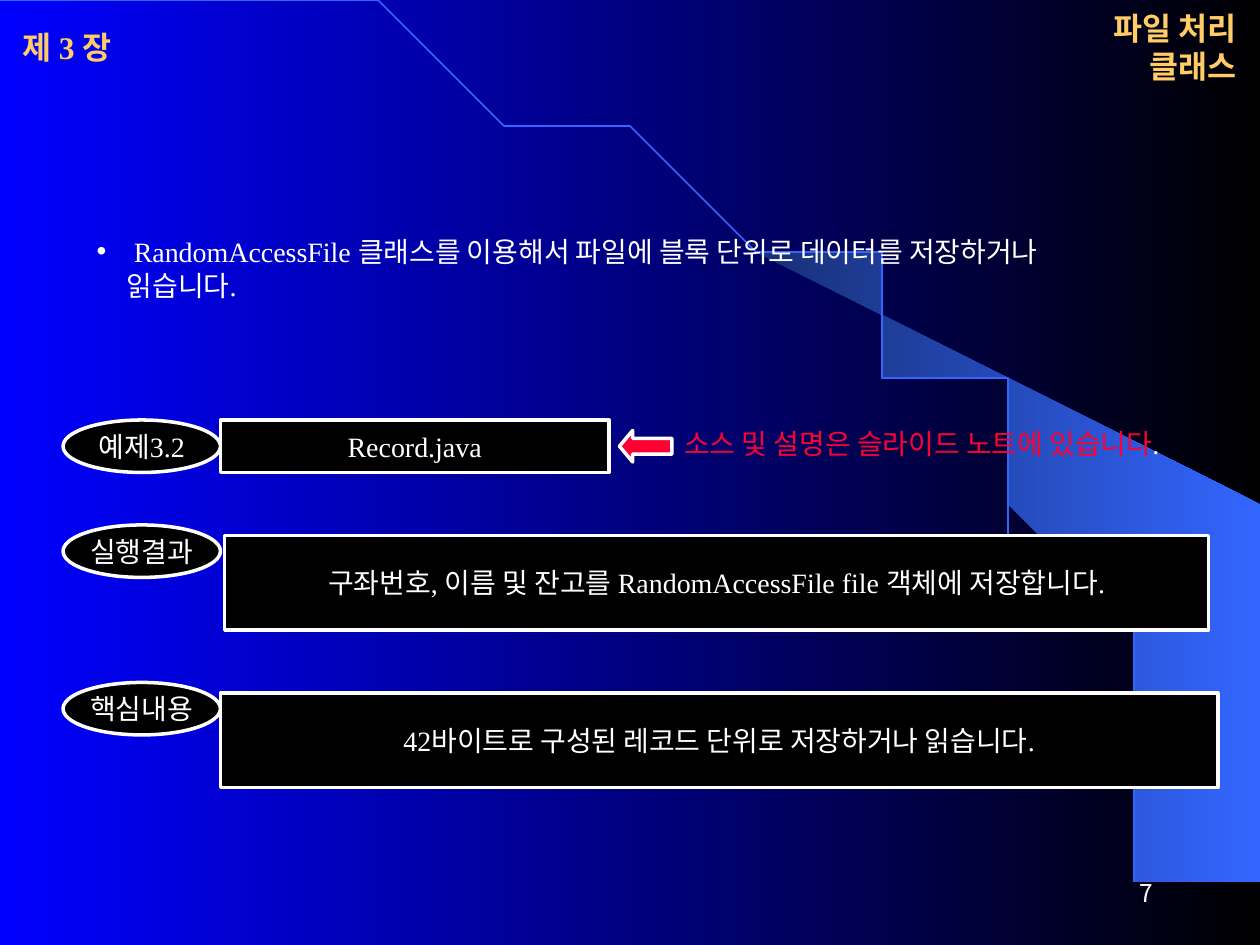
from math import cos, pi, sin

from lxml.etree import SubElement
from pptx import Presentation
from pptx.dml.color import RGBColor as RGB
from pptx.enum.shapes import MSO_SHAPE as SHAPE
from pptx.enum.text import MSO_ANCHOR as ANCHOR, MSO_AUTO_SIZE as FIT, PP_ALIGN as ALIGN
from pptx.oxml.ns import qn
from pptx.util import Inches, Pt

THEME = dict(
    white=RGB(0xFF, 0xFF, 0xFF), black=RGB(0, 0, 0), blue=RGB(0, 0, 0xFF),
    gold=RGB(0xFF, 0xCC, 0x66), red=RGB(0xFF, 0, 0x33),
    beam=RGB(0x33, 0x66, 0xFF), beam_dark=RGB(0x17, 0x2F, 0x75),
    serif="Times New Roman", korean="Noto Sans CJK KR",
    heading=18, text=16, number=14, leading=19.4,
)
T = THEME
UNIT = Inches(10) / 120  # the slide is a grid of 120 columns by 90 rows


def grid(*cells):
    return [round(c * UNIT) for c in cells]


def put_text(sp, *parts, size=T["text"], color=T["white"], bold=False, font=T["serif"],
             align=ALIGN.LEFT, anchor=ANCHOR.MIDDLE, wrap=False, leading=None):
    """Fill sp with one paragraph; a part is a string or a (string, colour) pair."""
    tf = sp.text_frame
    tf.word_wrap, tf.auto_size, tf.vertical_anchor = wrap, FIT.NONE, anchor
    p = tf.paragraphs[0]
    p.alignment, p.space_before = align, Pt(0)
    if leading:
        p.line_spacing = Pt(leading)
    for part in parts:
        text, rgb = part if isinstance(part, tuple) else (part, color)
        r = p.add_run()
        r.text = text
        r.font.size, r.font.bold, r.font.name = Pt(size), bold, font
        r.font.color.rgb = rgb
        SubElement(r.font._element, qn("a:ea"), typeface=T["korean"])
    return p


prs = Presentation()
prs.slide_width, prs.slide_height = grid(120, 90)
s = prs.slides.add_slide(prs.slide_layouts[1])
title, body = s.placeholders

# Background, light beam and arc
beam_edge = [
    (9.2, 7.48), (9.99, 7.49), (9.99, 4.23), (5.89, 1.73), (6.24, 1.99), (6.53, 2.22),
    (6.85, 2.5), (7.16, 2.8), (7.62, 3.3), (8.03, 3.84), (8.32, 4.31), (8.58, 4.79),
    (8.78, 5.28), (8.93, 5.72), (9.03, 6.09), (9.13, 6.56), (9.17, 6.96),
]
arc_edge = [(9.2 * sin(i * pi / 120), 7.49 * (1 - cos(i * pi / 120))) for i in range(61)]
beam, arc = [
    s.shapes.build_freeform(*edge[0], scale=Inches(1))
    .add_line_segments(edge[1:], close=closed).convert_to_shape()
    for edge, closed in ((beam_edge, True), (arc_edge, False))
]
for fill, colors in ((s.background.fill, ("black", "blue")),
                     (beam.fill, ("beam", "beam_dark"))):
    fill.gradient()
    fill.gradient_angle = 180
    for stop, position, name in zip(fill.gradient_stops, (0, 1), colors):
        stop.position, stop.color.rgb = position, T[name]
beam.line.fill.background()
arc.fill.background()
arc.line.color.rgb, arc.line.width = T["beam"], Pt(1)
beam.shadow.inherit = arc.shadow.inherit = False

# Headings and the list, brought in front of the artwork
for ph, cells in ((title, (101, 2, 18, 5)), (body, (8, 21.7, 102, 7.7))):
    ph._element.getparent().append(ph._element)
    ph.left, ph.top, ph.width, ph.height = grid(*cells)
heading = dict(size=T["heading"], color=T["gold"], bold=True)
put_text(title, "파일 처리 클래스", align=ALIGN.RIGHT, **heading)
put_text(s.shapes.add_textbox(*grid(1, 2, 17, 5)), "제 3 장", **heading)
p = put_text(body, " RandomAccessFile 클래스를 이용해서 파일에 블록 단위로 데이터를 저장하거나 읽습니다.",
             anchor=ANCHOR.TOP, wrap=True, leading=T["leading"])
indent = Inches(0.24)
p._p.get_or_add_pPr().set("marL", str(indent))
p._p.get_or_add_pPr().set("indent", str(-indent))

# Labelled boxes and the arrow
shapes = [
    (SHAPE.OVAL, (6, 40, 15, 5), "black", "예제3.2"),
    (SHAPE.RECTANGLE, (21, 40, 37, 5), "black", "Record.java"),
    (SHAPE.LEFT_ARROW, (59, 41, 5, 3), "red", ""),
    (SHAPE.OVAL, (6, 50, 15, 5), "black", "실행결과"),
    (SHAPE.RECTANGLE, (21.4, 51, 93.7, 9), "black",
     "구좌번호, 이름 및 잔고를 RandomAccessFile file 객체에 저장합니다."),
    (SHAPE.OVAL, (6, 65, 15, 5), "black", "핵심내용"),
    (SHAPE.RECTANGLE, (21, 66, 95, 9), "black",
     "42바이트로 구성된 레코드 단위로 저장하거나 읽습니다."),
]
for kind, cells, color, text in shapes:
    sp = s.shapes.add_shape(kind, *grid(*cells))
    sp.shadow.inherit = False
    sp.fill.solid()
    sp.fill.fore_color.rgb = T[color]
    sp.line.color.rgb, sp.line.width = T["white"], Pt(2)
    if text:
        put_text(sp, text, align=ALIGN.CENTER)
    else:
        sp.adjustments[0], sp.adjustments[1] = 0.5, 0.42

# Note beside the arrow, and the page number
put_text(s.shapes.add_textbox(*grid(64, 40, 53, 4.4)),
         ("소스 및 설명은 슬라이드 노트에 있습니다", T["red"]), ".",
         anchor=ANCHOR.TOP, wrap=True, leading=T["leading"])
put_text(s.shapes.add_textbox(*grid(86, 82, 25, 6)), "7", size=T["number"],
         font=T["korean"], align=ALIGN.RIGHT, wrap=True)

prs.save("out.pptx")
